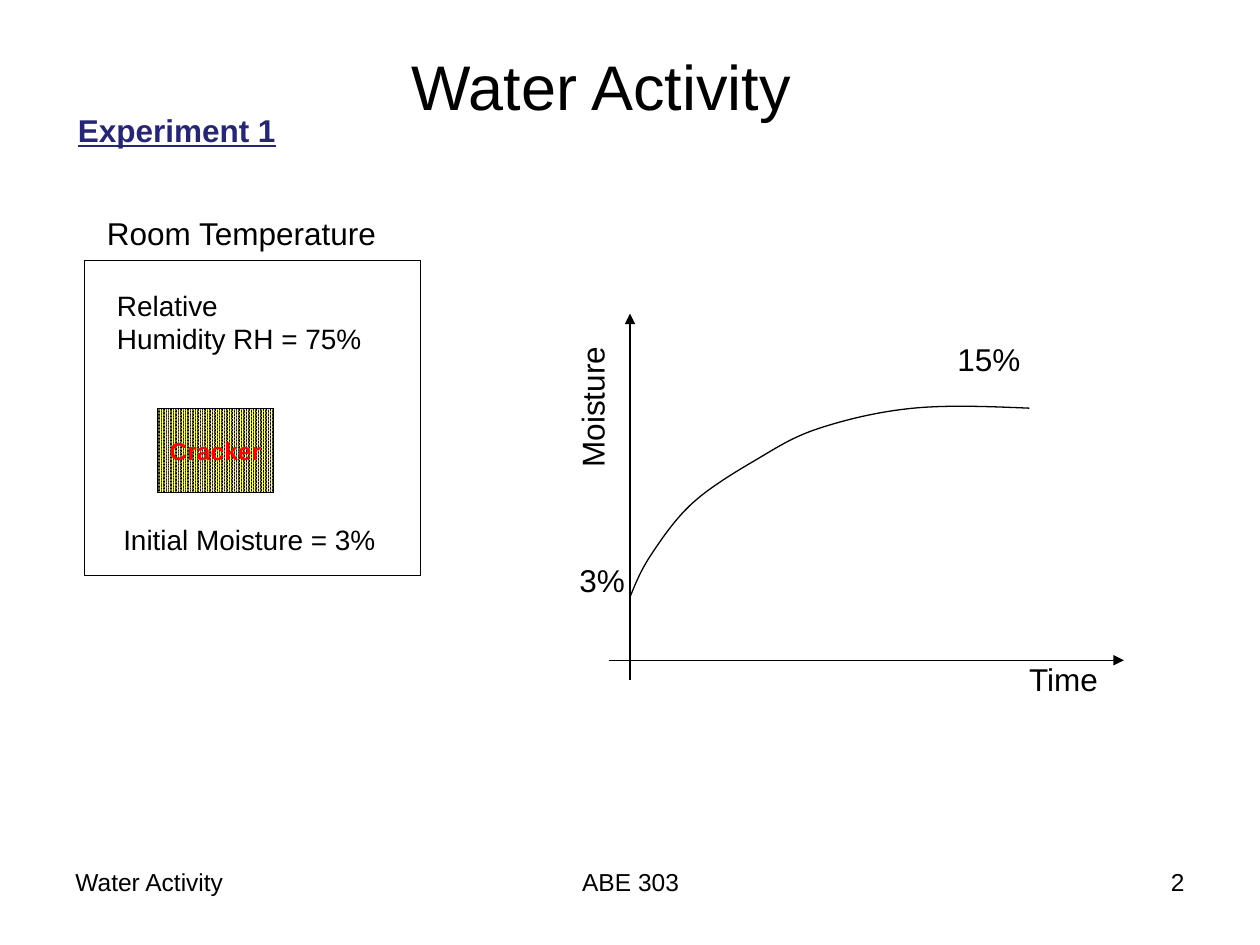
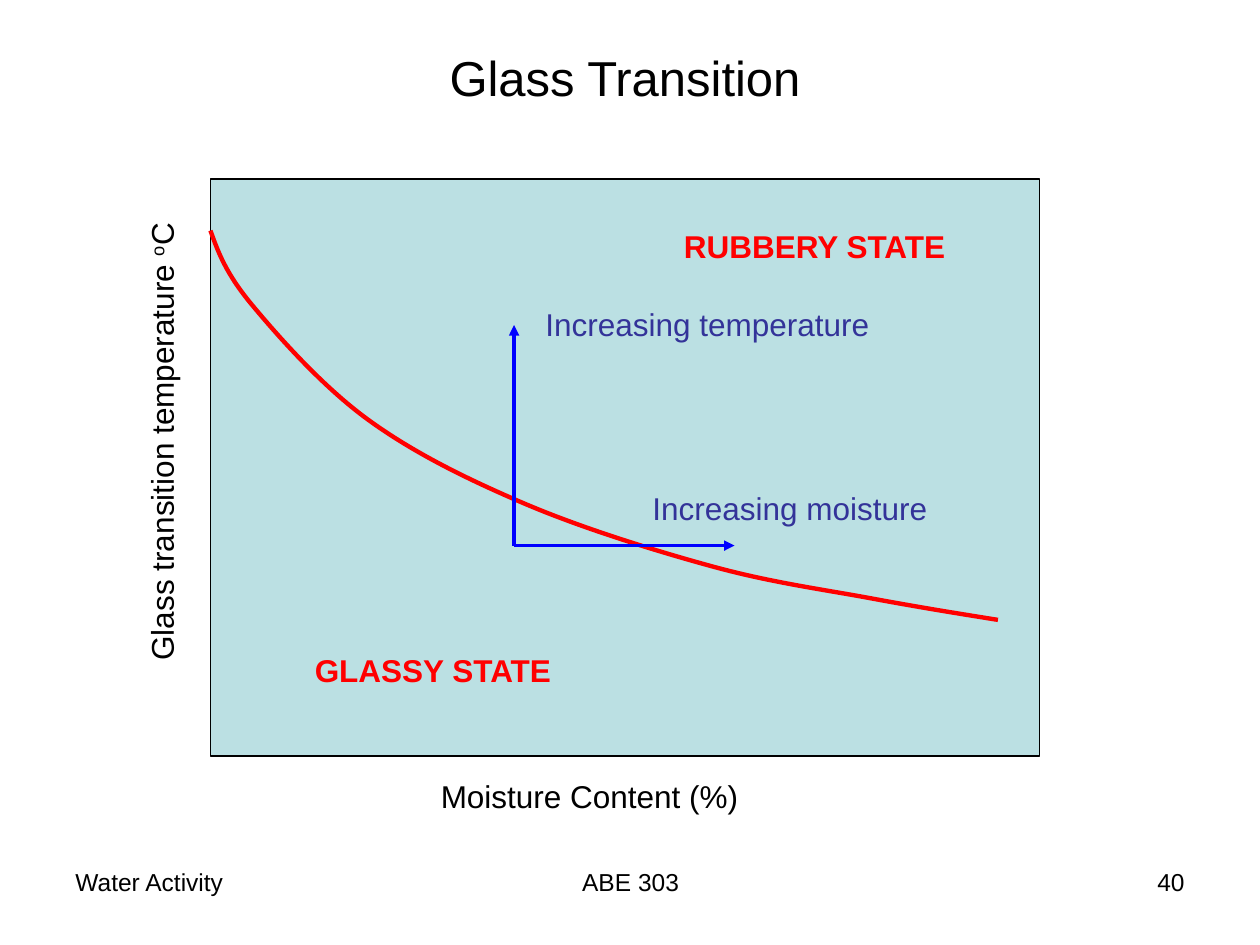
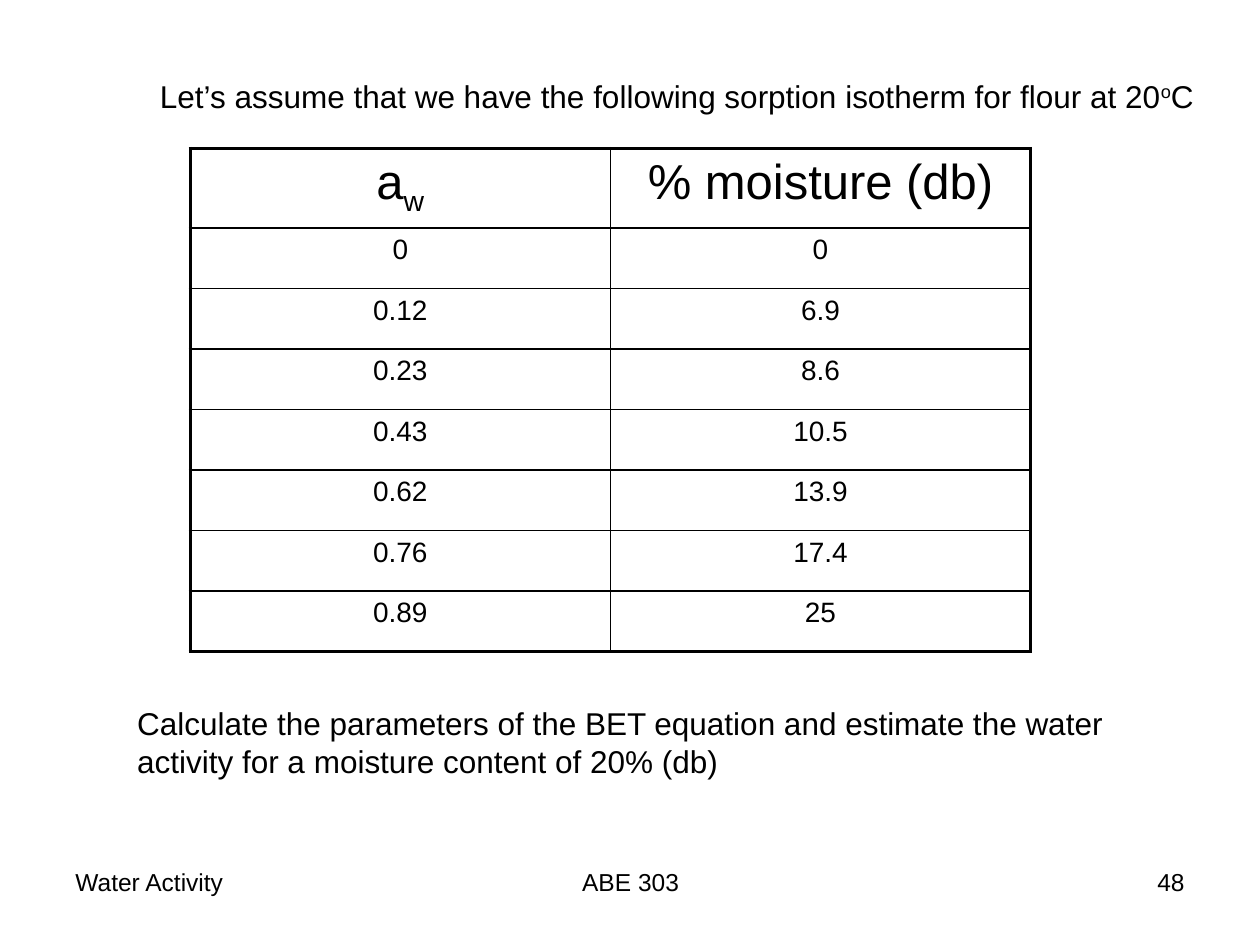
from lxml import etree
from pptx import Presentation
from pptx.dml.color import RGBColor
from pptx.enum.dml import MSO_PATTERN
from pptx.enum.shapes import MSO_CONNECTOR, MSO_SHAPE
from pptx.enum.text import MSO_ANCHOR, MSO_AUTO_SIZE, PP_ALIGN
from pptx.oxml.ns import qn
from pptx.util import Inches, Pt

BLACK = RGBColor(0x00, 0x00, 0x00)
RED = RGBColor(0xFF, 0x00, 0x00)
BLUE = RGBColor(0x00, 0x00, 0xFF)
NAVY = RGBColor(0x26, 0x26, 0x73)
INDIGO = RGBColor(0x33, 0x33, 0x99)
PALE_TEAL = RGBColor(0xBB, 0xE0, 0xE3)
PALE_YELLOW = RGBColor(0xFF, 0xFF, 0x99)

LEFT, CENTER, RIGHT = PP_ALIGN.LEFT, PP_ALIGN.CENTER, PP_ALIGN.RIGHT
MIDDLE = MSO_ANCHOR.MIDDLE
FIT_SHAPE = MSO_AUTO_SIZE.SHAPE_TO_FIT_TEXT
RECTANGLE = MSO_SHAPE.RECTANGLE
STRAIGHT = MSO_CONNECTOR.STRAIGHT
DENSE_DOTS = MSO_PATTERN.PERCENT_90

FONT = "Arial"
THIN, GRID, FRAME = 0.75, 1, 2.25
SUPERSCRIPT, SUBSCRIPT = 30000, -25000
DEGREES_C = (("o", SUPERSCRIPT), ("C", 0))

ISOTHERM = [
    ("0", "0"),
    ("0.12", "6.9"),
    ("0.23", "8.6"),
    ("0.43", "10.5"),
    ("0.62", "13.9"),
    ("0.76", "17.4"),
    ("0.89", "25"),
]


def smooth_points(knots):
    """Return the Bezier points that lead a smooth curve through the knots."""
    slopes = [
        ((after[0] - before[0]) / 6, (after[1] - before[1]) / 6)
        for before, after in zip(knots, knots[2:])
    ]
    points = []
    last = len(knots) - 2
    for index, (start, end) in enumerate(zip(knots, knots[1:])):
        leave = arrive = None
        if index > 0:
            slope = slopes[index - 1]
            leave = (start[0] + slope[0], start[1] + slope[1])
        if index < last:
            slope = slopes[index]
            arrive = (end[0] - slope[0], end[1] - slope[1])
        leave = leave or ((start[0] + arrive[0]) / 2, (start[1] + arrive[1]) / 2)
        arrive = arrive or ((end[0] + leave[0]) / 2, (end[1] + leave[1]) / 2)
        points += [leave, arrive, end]
    return points


class Lecture:
    """Holds the deck, its style and the current slide."""

    def __init__(self):
        self.deck = Presentation()
        self.deck.slide_width = Inches(10)
        self.deck.slide_height = Inches(7.5)
        self.shapes = None

    def page(self, number):
        """Start a slide and add its footers."""
        self.shapes = self.deck.slides.add_slide(self.deck.slide_layouts[6]).shapes
        footers = [
            (0.5, 2.33, "Water Activity", LEFT),
            (3.42, 3.17, "ABE 303", CENTER),
            (7.17, 2.33, str(number), RIGHT),
        ]
        for left, width, text, align in footers:
            self.label((left, 6.83, width, 0.52), text, 14, align=align, wrap=True, fit=False)

    def set_text(self, frame, text, size=18, color=BLACK, bold=False, underline=False,
                 align=LEFT, tail=()):
        """Fill a text frame; tail adds runs given as text and baseline."""
        frame.text = text
        for words, baseline in tail:
            span = frame.paragraphs[-1].add_run()
            span.text = words
            if baseline:
                span.font._element.set("baseline", str(baseline))
        for para in frame.paragraphs:
            para.alignment = align
            for span in para.runs:
                span.font.name = FONT
                span.font.size = Pt(size)
                span.font.bold = bold
                span.font.underline = underline
                span.font.color.rgb = color

    def label(self, place, text, size=18, color=BLACK, wrap=False, fit=True, turn=0, **style):
        """Add a text box."""
        box = self.shapes.add_textbox(*map(Inches, place))
        box.rotation = turn
        self.set_text(box.text_frame, text, size, color, **style)
        box.text_frame.word_wrap = wrap
        if fit:
            box.text_frame.auto_size = FIT_SHAPE

    def pen(self, line, color, width):
        """Set the colour and width of a line."""
        line.color.rgb = color
        line.width = Pt(width)

    def rectangle(self, place, fill=None):
        """Add a thinly outlined rectangle and return it."""
        box = self.shapes.add_shape(RECTANGLE, *map(Inches, place))
        box.shadow.inherit = False
        self.pen(box.line, BLACK, THIN)
        if fill is None:
            box.fill.background()
        else:
            box.fill.solid()
            box.fill.fore_color.rgb = fill
        return box

    def dotted_box(self, place, text):
        """Add a densely dotted rectangle with a bold red name."""
        box = self.rectangle(place)
        box.fill.patterned()
        box.fill.pattern = DENSE_DOTS
        box.fill.fore_color.rgb = PALE_YELLOW
        box.fill.back_color.rgb = BLACK
        self.set_text(box.text_frame, text, 14, RED, bold=True, align=CENTER)
        box.text_frame.vertical_anchor = MIDDLE
        box.text_frame.word_wrap = False

    def arrow(self, start, end, color=BLACK, width=THIN):
        """Add a straight arrow."""
        line = self.shapes.add_connector(STRAIGHT, *map(Inches, start + end))
        self.pen(line.line, color, width)
        etree.SubElement(line.line._get_or_add_ln(), qn("a:tailEnd"), type="triangle")
        etree.SubElement(line.element.spPr, qn("a:effectLst"))

    def curve(self, knots, color=BLACK, width=THIN):
        """Add a smooth open curve through the knots."""
        builder = self.shapes.build_freeform(*map(Inches, knots[0]))
        points = [(Inches(x), Inches(y)) for x, y in smooth_points(knots)]
        builder.add_line_segments(points, close=False)
        outline = builder.convert_to_shape()
        outline.shadow.inherit = False
        outline.fill.background()
        self.pen(outline.line, color, width)
        segments = outline.element.xpath(".//a:lnTo")
        for first in range(0, len(segments), 3):
            bezier = etree.Element(qn("a:cubicBezTo"))
            segments[first].addprevious(bezier)
            for segment in segments[first:first + 3]:
                bezier.append(segment[0])
                segment.getparent().remove(segment)

    def border(self, cell, widths):
        """Draw the left, right, top and bottom borders of a cell."""
        properties = cell._tc.get_or_add_tcPr()
        for side, width in zip("LRTB", widths):
            line = etree.SubElement(properties, qn(f"a:ln{side}"), w=str(Pt(width)))
            fill = etree.SubElement(line, qn("a:solidFill"))
            etree.SubElement(fill, qn("a:srgbClr"), val=str(BLACK))

    def table(self, place, header, rows, header_height, row_height):
        """Add a framed table; header cells are text and tail runs."""
        body = [[(text, ()) for text in row] for row in rows]
        lines = [header] + body
        last_row, last_column = len(lines) - 1, len(header) - 1
        grid = self.shapes.add_table(len(lines), len(header), *map(Inches, place)).table
        grid.first_row = grid.horz_banding = False
        for i, line in enumerate(lines):
            grid.rows[i].height = Inches(row_height if i else header_height)
            size = 16 if i else 28
            for j, (text, tail) in enumerate(line):
                cell = grid.cell(i, j)
                outer = (j == 0, j == last_column, i == 0, i == last_row)
                self.border(cell, [FRAME if edge else GRID for edge in outer])
                cell.fill.background()
                self.set_text(cell.text_frame, text, size, align=CENTER, tail=tail)
                cell.text_frame.paragraphs[0].space_before = Pt(size * 0.2)


def experiment(lecture):
    """Build the cracker experiment and its moisture curve."""
    lecture.page(2)
    lecture.dotted_box((1.25, 3.24, 0.92, 0.67), "Cracker")
    lecture.rectangle((0.67, 2.07, 2.67, 2.5))
    lecture.label((0.83, 2.24, 2.15, 0.64), "Relative\nHumidity RH = 75%", 16)
    lecture.label((0.75, 1.65, 2.37, 0.4), "Room Temperature")
    lecture.label((3.17, 0.33, 3.26, 0.7), "Water Activity", 36)
    lecture.arrow((5, 5.4), (5, 2.49))
    lecture.arrow((4.83, 5.24), (8.92, 5.24))
    lecture.label((4.12, 3.03, 1.16, 0.4), "Moisture", turn=270)
    lecture.label((8.07, 5.19, 0.76, 0.4), "Time")
    lecture.curve([(5, 4.74), (5.17, 4.4), (5.5, 3.99), (6, 3.65),
                   (6.5, 3.4), (7.25, 3.24), (8.17, 3.24)])
    lecture.label((4.5, 4.4, 0.56, 0.4), "3%")
    lecture.label((7.5, 2.65, 0.7, 0.4), "15%")
    lecture.label((0.88, 4.1, 2.21, 0.37), "Initial Moisture = 3%", 16)
    lecture.label((0.52, 0.83, 1.8, 0.4), "Experiment 1", color=NAVY, wrap=True,
                  bold=True, underline=True)


def glass_transition(lecture):
    """Build the state diagram."""
    lecture.page(40)
    lecture.label((3.45, 0.33, 3.02, 0.57), "Glass Transition", 28, align=CENTER)
    lecture.rectangle((1.67, 1.42, 6.58, 4.58), PALE_TEAL)
    lecture.label((-0.56, 3.3, 3.68, 0.4), "Glass transition temperature ", turn=270,
                  tail=DEGREES_C)
    lecture.label((3.4, 6.12, 2.56, 0.4), "Moisture Content (%)")
    lecture.curve([(1.67, 1.83), (2, 2.42), (2.92, 3.33), (4.17, 4),
                   (5.67, 4.5), (6.92, 4.75), (7.92, 4.92)], RED, 2.5)
    lecture.label((2.4, 5.12, 2.12, 0.4), "GLASSY STATE", color=RED, bold=True)
    lecture.label((5.33, 1.75, 2.33, 0.4), "RUBBERY STATE", color=RED, bold=True)
    state = (4.08, 4.33)
    for end in [(4.08, 2.58), (5.83, 4.33)]:
        lecture.arrow(state, end, BLUE, 2)
    lecture.label((4.23, 2.37, 2.77, 0.4), "Increasing temperature", color=INDIGO)
    lecture.label((5.08, 3.83, 2.38, 0.4), "Increasing moisture", color=INDIGO)


def sorption_isotherm(lecture):
    """Build the exercise with the isotherm table."""
    lecture.page(48)
    lecture.label(
        (1.17, 0.56, 8.42, 0.4),
        "Let’s assume that we have the following sorption isotherm for flour at 20",
        tail=DEGREES_C,
    )
    header = [("a", [("w", SUBSCRIPT)]), ("% moisture (db)", ())]
    lecture.table((1.51, 1.18, 6.67, 3.94), header, ISOTHERM, 0.57, 0.48)
    lecture.label(
        (0.99, 5.54, 7.87, 0.7),
        "Calculate the parameters of the BET equation and estimate the water\n"
        "activity for a moisture content of 20% (db)",
    )


def main():
    """Build and save the deck."""
    lecture = Lecture()
    experiment(lecture)
    glass_transition(lecture)
    sorption_isotherm(lecture)
    lecture.deck.save("out.pptx")


if __name__ == "__main__":
    main()
